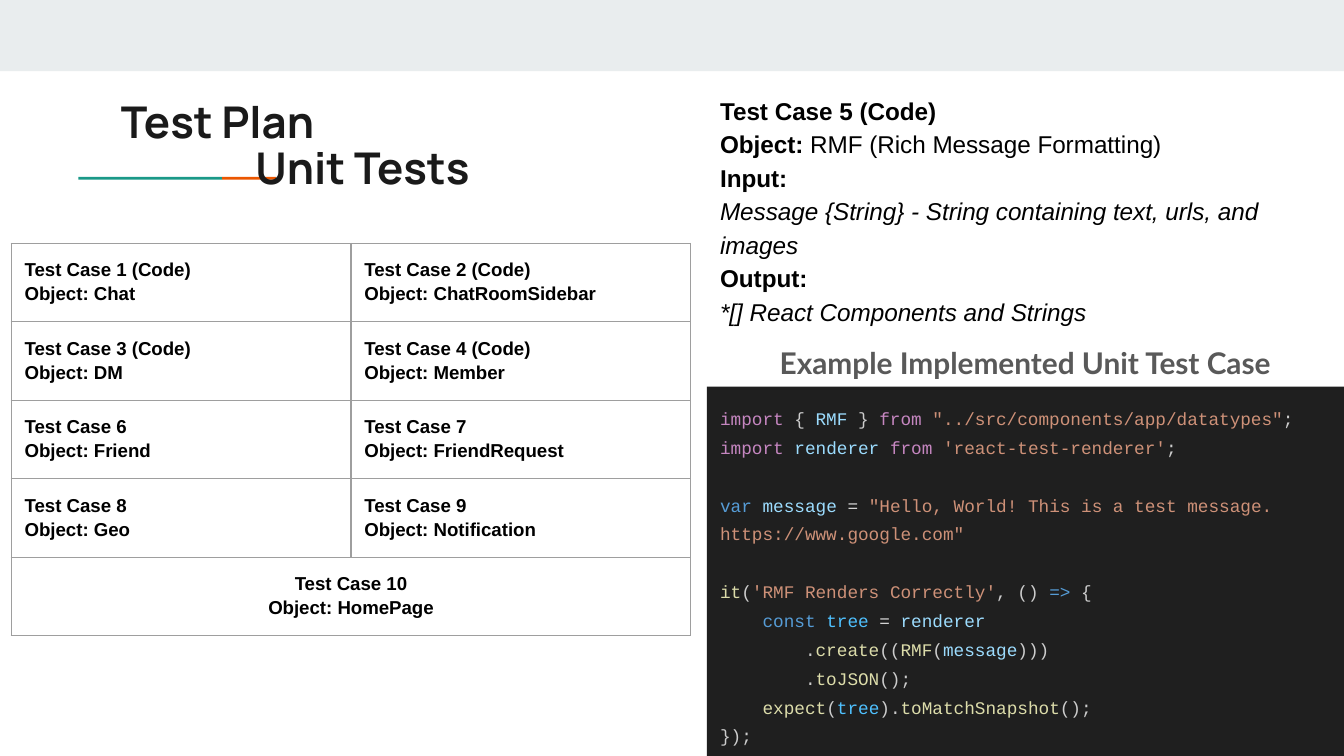
from pptx import Presentation
from pptx.dml.color import RGBColor
from pptx.enum.shapes import MSO_SHAPE
from pptx.enum.text import MSO_ANCHOR, PP_ALIGN
from pptx.oxml import parse_xml
from pptx.oxml.ns import nsdecls
from pptx.util import Pt

# Page colours
BAND = RGBColor(0xE9, 0xED, 0xEE)
TEAL = RGBColor(0x1A, 0x99, 0x88)
ORANGE = RGBColor(0xEB, 0x56, 0x00)
INK = RGBColor(0x1A, 0x1A, 0x1A)
BLACK = RGBColor(0x00, 0x00, 0x00)
GREY = RGBColor(0x59, 0x59, 0x59)
EDITOR = RGBColor(0x1F, 0x1F, 0x1F)
BORDER = RGBColor(0x9E, 0x9E, 0x9E)

# Code colours
PLAIN = RGBColor(0xCC, 0xCC, 0xCC)
KEYWORD = RGBColor(0xC5, 0x86, 0xC0)
VARIABLE = RGBColor(0x9C, 0xDC, 0xFE)
STRING = RGBColor(0xCE, 0x91, 0x78)
DECLARE = RGBColor(0x56, 0x9C, 0xD6)
OPERATOR = RGBColor(0xD4, 0xD4, 0xD4)
CALL = RGBColor(0xDC, 0xDC, 0xAA)
CONSTANT = RGBColor(0x4F, 0xC1, 0xFF)

INSET = 7.2
CODE_SIZE = 9.5
CODE_PITCH = 15.4

TEST_CASES = [
    ("Test Case 1 (Code)", "Chat"), ("Test Case 2 (Code)", "ChatRoomSidebar"),
    ("Test Case 3 (Code)", "DM"), ("Test Case 4 (Code)", "Member"),
    ("Test Case 6", "Friend"), ("Test Case 7", "FriendRequest"),
    ("Test Case 8", "Geo"), ("Test Case 9", "Notification"),
    ("Test Case 10", "HomePage"),
]

DETAILS = [
    [("Test Case 5 (Code)", {"bold": True})],
    [("Object: ", {"bold": True}), ("RMF (Rich Message Formatting)", {})],
    [("Input:", {"bold": True})],
    [("Message {String} - String containing text, urls, and images", {"italic": True})],
    [("Output:", {"bold": True})],
    [("*[] React Components and Strings", {"italic": True})],
]

# Blocks of code lines; a gap of one line separates the blocks
CODE_BLOCKS = [
    [
        [("import", KEYWORD), (" { ", PLAIN), ("RMF", VARIABLE), (" } ", PLAIN),
         ("from ", KEYWORD), ('"../src/components/app/datatypes"', STRING), (";", PLAIN)],
        [("import ", KEYWORD), ("renderer ", VARIABLE), ("from ", KEYWORD),
         ("'react-test-renderer'", STRING), (";", PLAIN)],
    ],
    [
        [("var ", DECLARE), ("message ", VARIABLE), ("= ", OPERATOR),
         ('"Hello, World! This is a test message. https://www.google.com"', STRING)],
    ],
    [
        [("it", CALL), ("(", PLAIN), ("'RMF Renders Correctly'", STRING),
         (", () ", PLAIN), ("=>", DECLARE), (" {", PLAIN)],
        [("    const ", DECLARE), ("tree ", CONSTANT), ("= ", OPERATOR),
         ("renderer", VARIABLE)],
        [("        .", PLAIN), ("create", CALL), ("((", PLAIN), ("RMF", CALL),
         ("(", PLAIN), ("message", VARIABLE), (")))", PLAIN)],
        [("        .", PLAIN), ("toJSON", CALL), ("();", PLAIN)],
        [("    expect", CALL), ("(", PLAIN), ("tree", CONSTANT), (").", PLAIN),
         ("toMatchSnapshot", CALL), ("();", PLAIN)],
        [("});", PLAIN)],
    ],
]


def add_span(para, text, font="Arial", size=10, color=BLACK, bold=False, italic=False):
    span = para.add_run()
    span.text = text
    span.font.name = font
    span.font.size = Pt(size)
    span.font.color.rgb = color
    span.font.bold = bold
    span.font.italic = italic


def next_para(frame, first, spacing=1.0, align=PP_ALIGN.LEFT, before=0):
    para = frame.paragraphs[0] if first else frame.add_paragraph()
    para.line_spacing = spacing
    para.alignment = align
    para.space_before = Pt(before)
    return para


def prepare_frame(frame):
    frame.word_wrap = True
    frame.vertical_anchor = MSO_ANCHOR.TOP
    frame.margin_left = frame.margin_right = Pt(INSET)
    frame.margin_top = frame.margin_bottom = Pt(INSET)
    return frame


def add_block(page, box, color):
    block = page.shapes.add_shape(MSO_SHAPE.RECTANGLE, *map(Pt, box))
    block.shadow.inherit = False
    block.fill.solid()
    block.fill.fore_color.rgb = color
    block.line.fill.background()
    return block


def add_text_box(page, box):
    return prepare_frame(page.shapes.add_textbox(*map(Pt, box)).text_frame)


def add_heading(page, box):
    left, top, width, height = box
    # Two-colour rule, running behind the title
    rule_top = top + 49.3
    add_block(page, (left - 15.6, rule_top, 77, 1.5), TEAL)
    add_block(page, (left + 61.4, rule_top, 28.8, 1.5), ORANGE)
    title = page.shapes.title
    title.left, title.top, title.width, title.height = map(Pt, box)
    frame = prepare_frame(title.text_frame)
    frame.margin_top = Pt(9.5)
    for index, text in enumerate(("Test Plan", "Unit Tests")):
        para = next_para(frame, index == 0, spacing=0.87)
        if index:
            properties = para._p.get_or_add_pPr()
            properties.set("marL", str(Pt(36)))
            properties.set("indent", str(Pt(36)))
        add_span(para, text, font="Manrope", size=23.4, color=INK, bold=True)
    # Bring the title in front of the rule
    page.shapes.element.append(title.element)


def set_borders(cell):
    properties = cell._tc.get_or_add_tcPr()
    for position, side in enumerate(("lnL", "lnR", "lnT", "lnB")):
        properties.insert(position, parse_xml(
            f'<a:{side} {nsdecls("a")} w="{Pt(0.75)}"><a:solidFill>'
            f'<a:srgbClr val="{BORDER}"/></a:solidFill></a:{side}>'))


def add_case_table(page, box):
    columns = 2
    rows = (len(TEST_CASES) + 1) // columns
    table = page.shapes.add_table(rows, columns, *map(Pt, box)).table
    table.first_row = table.horz_banding = False
    for row in table.rows:
        row.height = Pt(box[3] / rows)
    for cell in table.iter_cells():
        cell.fill.background()
        set_borders(cell)
    # The last case spans the whole width
    table.cell(rows - 1, 0).merge(table.cell(rows - 1, columns - 1))
    for index, (name, target) in enumerate(TEST_CASES):
        row, column = divmod(index, columns)
        cell = table.cell(row, column)
        cell.margin_left = cell.margin_right = Pt(INSET)
        cell.margin_top = cell.margin_bottom = Pt(INSET)
        align = PP_ALIGN.CENTER if cell.is_merge_origin else PP_ALIGN.LEFT
        for line, text in enumerate((name, f"Object: {target}")):
            para = next_para(cell.text_frame, line == 0, spacing=1.15, align=align)
            add_span(para, text, bold=True)


def add_details(page, box):
    frame = add_text_box(page, box)
    for index, parts in enumerate(DETAILS):
        para = next_para(frame, index == 0, spacing=1.15)
        for text, style in parts:
            add_span(para, text, size=13, **style)


def add_code_panel(page, box):
    left, top, width, height = box
    frame = prepare_frame(add_block(page, box, EDITOR).text_frame)
    for block_index, block in enumerate(CODE_BLOCKS):
        for line_index, parts in enumerate(block):
            first = block_index == line_index == 0
            gap = CODE_PITCH if block_index and line_index == 0 else 0
            para = next_para(frame, first, spacing=1.36, before=gap)
            for text, color in parts:
                add_span(para, text, font="Courier New", size=CODE_SIZE, color=color)
    # Caption above the panel
    caption = add_text_box(page, (left + 18, top - 30, width - 36, 34))
    para = next_para(caption, True, align=PP_ALIGN.CENTER)
    add_span(para, "Example Implemented Unit Test Case", font="Lato", size=16,
             color=GREY, bold=True)


def main():
    deck = Presentation()
    deck.slide_width, deck.slide_height = Pt(720), Pt(405)
    page = deck.slides.add_slide(deck.slide_layouts[5])
    add_block(page, (0, 0, 720, 38.2), BAND)
    add_heading(page, (57.6, 45.4, 605.5, 42.5))
    add_code_panel(page, (378.7, 207.2, 341.3, 197.8))
    add_details(page, (378.7, 41.8, 341.3, 139))
    add_case_table(page, (6, 130.4, 364, 210))
    deck.save("out.pptx")


if __name__ == "__main__":
    main()
